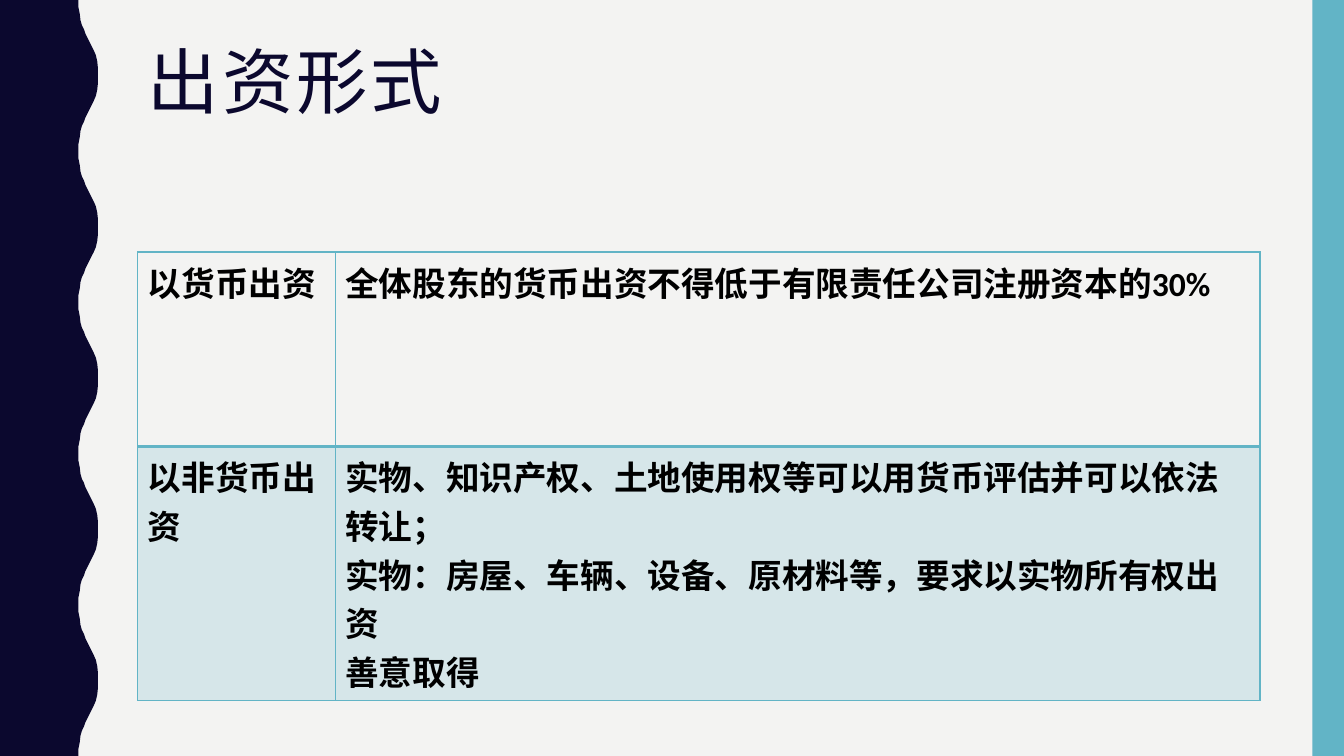
from lxml.etree import SubElement
from pptx import Presentation
from pptx.dml.color import RGBColor
from pptx.enum.shapes import MSO_SHAPE
from pptx.enum.text import MSO_ANCHOR, PP_ALIGN
from pptx.oxml.ns import qn
from pptx.util import Pt

TITLE = "出资形式"
ROWS = [
    ["以货币出资", "全体股东的货币出资不得低于有限责任公司注册资本的30%"],
    ["以非货币出资",
     "实物、知识产权、土地使用权等可以用货币评估并可以依法转让；\n"
     "实物：房屋、车辆、设备、原材料等，要求以实物所有权出资\n"
     "善意取得"],
]
COLUMN_WIDTHS = [141, 660.5]
ROW_HEIGHT = 139
HALF_WAVE = [(56, 0), (56, 5), (57, 10), (57.5, 14.5), (58.5, 18), (60, 21),
             (61, 24), (62.5, 27), (64, 30), (65.5, 33), (67, 36),
             (68.5, 39.5), (69.5, 44), (70, 49), (70, 54)]
WAVE_COUNT = 5
WAVE_HEIGHT = 108
WIDTH, HEIGHT = 960, 540
LEFT, CONTENT_WIDTH = 98.5, 801.5
STRIPE_LEFT = 937.5

NAVY = RGBColor(0x0B, 0x08, 0x2E)
TEAL = RGBColor(0x62, 0xB4, 0xC6)
PAPER = RGBColor(0xF3, 0xF3, 0xF2)
BLACK = RGBColor(0, 0, 0)


def paint(shape, color):
    shape.shadow.inherit = False
    shape.fill.solid()
    shape.fill.fore_color.rgb = color
    shape.line.fill.background()


def add_wave(slide):
    one_wave = HALF_WAVE + [(x, WAVE_HEIGHT - y) for x, y in HALF_WAVE[-2::-1]]
    edge = [(x, y + index * WAVE_HEIGHT)
            for index in range(WAVE_COUNT) for x, y in one_wave]
    builder = slide.shapes.build_freeform(0, 0)
    builder.add_line_segments([(Pt(x), Pt(y)) for x, y in edge + [(0, HEIGHT)]])
    paint(builder.convert_to_shape(), NAVY)


def add_borders(cell, widths):
    properties = cell._tc.get_or_add_tcPr()
    for side, width in widths.items():
        line = SubElement(properties, qn(f"a:ln{side}"), w=str(Pt(width)))
        fill = SubElement(line, qn("a:solidFill"))
        SubElement(fill, qn("a:srgbClr"), val=str(TEAL))


def add_tint(cell, percent):
    cell.fill.solid()
    cell.fill.fore_color.rgb = TEAL
    color = cell._tc.tcPr.find(qn("a:solidFill")).find(qn("a:srgbClr"))
    SubElement(color, qn("a:alpha"), val=str(percent * 1000))


def add_contribution_table(slide):
    frame = slide.shapes.add_table(
        len(ROWS), len(COLUMN_WIDTHS), Pt(LEFT), Pt(180),
        Pt(CONTENT_WIDTH), Pt(ROW_HEIGHT * len(ROWS)))
    table = frame.table
    table.first_row = False
    table.horz_banding = False
    for column, width in zip(table.columns, COLUMN_WIDTHS):
        column.width = Pt(width)
    for row_index, texts in enumerate(ROWS):
        table.rows[row_index].height = Pt(ROW_HEIGHT)
        for column_index, text in enumerate(texts):
            cell = table.cell(row_index, column_index)
            cell.text_frame.text = text
            for paragraph in cell.text_frame.paragraphs:
                for run in paragraph.runs:
                    run.font.size = Pt(24)
                    run.font.name = "Calibri"
                    run.font.bold = True
                    run.font.color.rgb = BLACK
            is_first = row_index == 0
            add_borders(cell, {"L": 1, "R": 1, "T": 1 if is_first else 2,
                               "B": 2 if is_first else 1})
            if is_first:
                cell.fill.background()
            else:
                add_tint(cell, 20)


def set_title(slide):
    title = slide.shapes.title
    title.left, title.top = Pt(LEFT), Pt(30)
    title.width, title.height = Pt(CONTENT_WIDTH), Pt(117.5)
    title.text_frame.text = TITLE
    title.text_frame.vertical_anchor = MSO_ANCHOR.TOP
    paragraph = title.text_frame.paragraphs[0]
    paragraph.alignment = PP_ALIGN.LEFT
    paragraph.line_spacing = 0.9
    run = paragraph.runs[0]
    run.font.size = Pt(51)
    run.font.name = "Roboto Condensed"
    run.font.color.rgb = NAVY
    run.font._element.set("spc", "200")


def main():
    presentation = Presentation()
    presentation.slide_width, presentation.slide_height = Pt(WIDTH), Pt(HEIGHT)
    slide = presentation.slides.add_slide(presentation.slide_layouts[5])
    slide.background.fill.solid()
    slide.background.fill.fore_color.rgb = PAPER
    add_wave(slide)
    stripe = slide.shapes.add_shape(
        MSO_SHAPE.RECTANGLE, Pt(STRIPE_LEFT), 0, Pt(WIDTH - STRIPE_LEFT), Pt(HEIGHT))
    paint(stripe, TEAL)
    set_title(slide)
    add_contribution_table(slide)
    presentation.save("out.pptx")


if __name__ == "__main__":
    main()
